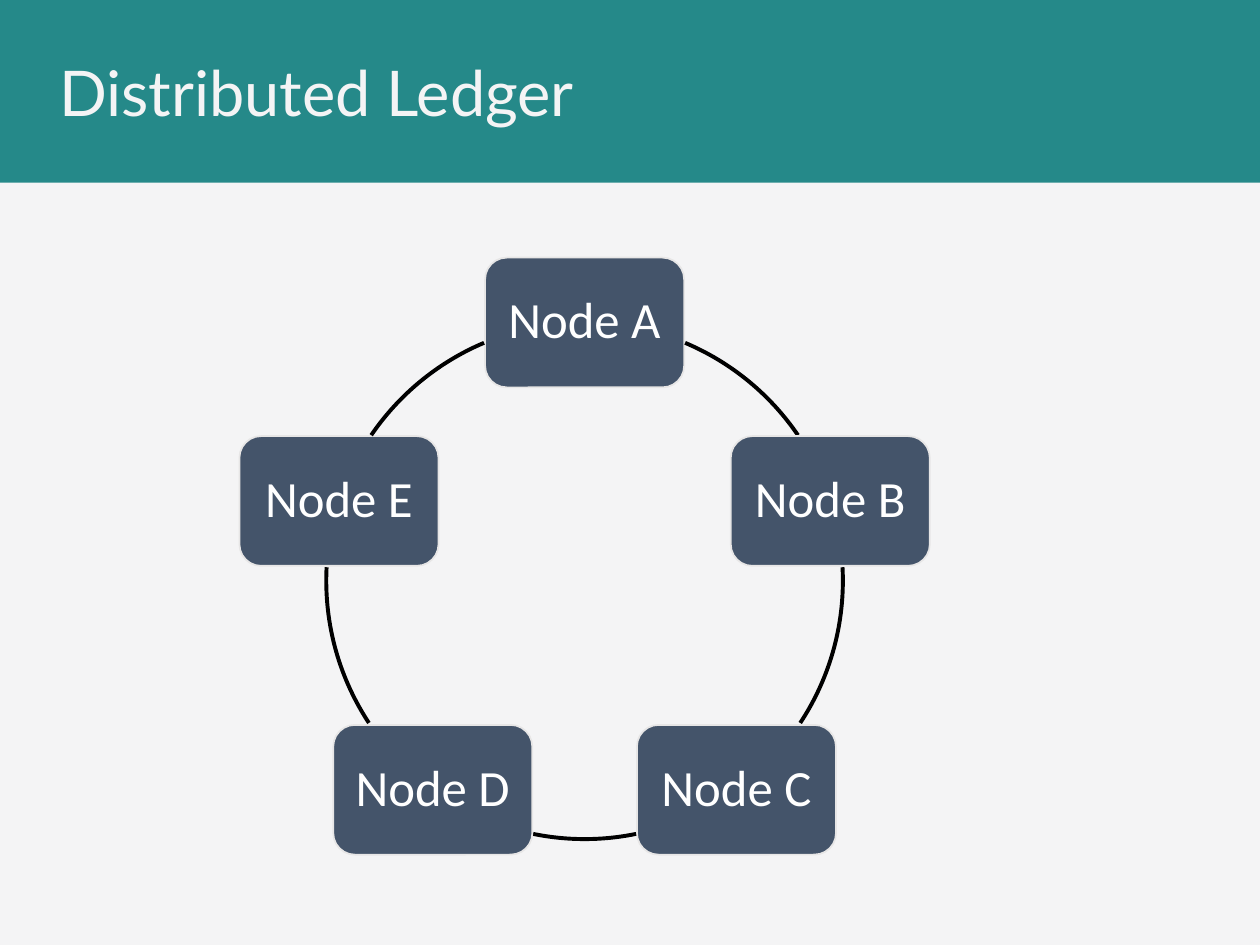
from math import cos, radians, sin

from pptx import Presentation
from pptx.dml.color import RGBColor
from pptx.enum.shapes import MSO_SHAPE
from pptx.enum.text import MSO_ANCHOR, PP_ALIGN
from pptx.util import Inches, Pt

TITLE = "Distributed Ledger"
NODES = ["Node A", "Node B", "Node C", "Node D", "Node E"]
LINKS = [(292.9, 325.7), (357, 33.4), (78.5, 101.5), (146.6, 183), (214.3, 247.1)]
COLORS = {
    "background": "F4F4F5",
    "banner": "258989",
    "node": "44546A",
    "node_edge": "E7E6E6",
    "link": "000000",
    "node_text": "FFFFFF",
}
BANNER_HEIGHT = 1.45
CENTER_X, CENTER_Y, RADIUS = 4.64, 4.61, 2.05
NODE_WIDTH, NODE_HEIGHT = 1.58, 1.03
NODE_INSET = 0.12


def color(key):
    return RGBColor.from_string(COLORS[key])


def add_shape(slide, kind, left, top, width, height, fill=None, line=None, weight=1):
    shape = slide.shapes.add_shape(
        kind, Inches(left), Inches(top), Inches(width), Inches(height)
    )
    shape.shadow.inherit = False
    if fill:
        shape.fill.solid()
        shape.fill.fore_color.rgb = color(fill)
    else:
        shape.fill.background()
    if line:
        shape.line.color.rgb = color(line)
        shape.line.width = Pt(weight)
    else:
        shape.line.fill.background()
    return shape


def write(frame, text, font_name, size, text_color):
    frame.word_wrap = True
    frame.vertical_anchor = MSO_ANCHOR.MIDDLE
    frame.text = text
    paragraph = frame.paragraphs[0]
    font = paragraph.runs[0].font
    font.name = font_name
    font.size = Pt(size)
    font.color.rgb = color(text_color)
    return paragraph


def add_node(slide, label, angle):
    left = CENTER_X + RADIUS * cos(radians(angle)) - NODE_WIDTH / 2
    top = CENTER_Y + RADIUS * sin(radians(angle)) - NODE_HEIGHT / 2
    node = add_shape(slide, MSO_SHAPE.ROUNDED_RECTANGLE, left, top,
                     NODE_WIDTH, NODE_HEIGHT, "node", "node_edge")
    frame = node.text_frame
    frame.margin_left = frame.margin_right = Inches(NODE_INSET)
    frame.margin_top = frame.margin_bottom = Inches(NODE_INSET)
    paragraph = write(frame, label, "Calibri", 29, "node_text")
    paragraph.alignment = PP_ALIGN.CENTER
    paragraph.line_spacing = 0.9


def add_link(slide, start, end):
    link = add_shape(slide, MSO_SHAPE.ARC, CENTER_X - RADIUS, CENTER_Y - RADIUS,
                     2 * RADIUS, 2 * RADIUS, line="link", weight=2.25)
    for index, angle in enumerate((start, end)):
        link.adjustments[index] = angle * 60000 / 100000


def main():
    presentation = Presentation()
    presentation.slide_width = Inches(10)
    presentation.slide_height = Inches(7.5)
    slide = presentation.slides.add_slide(presentation.slide_layouts[6])
    slide.background.fill.solid()
    slide.background.fill.fore_color.rgb = color("background")

    add_shape(slide, MSO_SHAPE.RECTANGLE, 0, 0, 10, BANNER_HEIGHT, "banner")
    for index, (label, link) in enumerate(zip(NODES, LINKS)):
        add_node(slide, label, index * 360 / len(NODES) - 90)
        add_link(slide, *link)

    title = slide.shapes.add_textbox(
        Inches(0.37), Inches(0), Inches(8.62), Inches(BANNER_HEIGHT)
    )
    write(title.text_frame, TITLE, "Lato", 36, "background")
    presentation.save("out.pptx")


if __name__ == "__main__":
    main()
